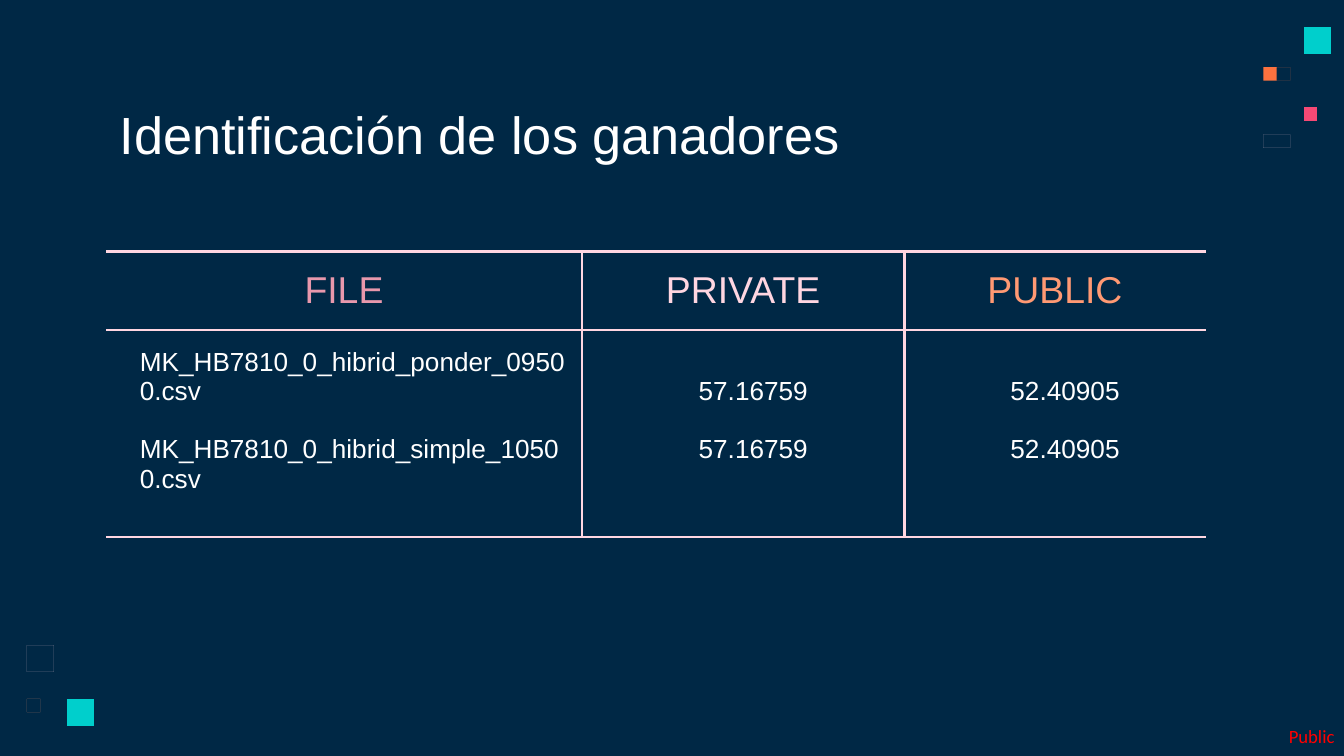
from lxml.etree import SubElement
from pptx import Presentation
from pptx.dml.color import RGBColor
from pptx.enum.text import MSO_ANCHOR, MSO_AUTO_SIZE, PP_ALIGN
from pptx.oxml.ns import qn
from pptx.util import Inches, Pt

# Grid: one column or row is a tenth of an inch
COLS, ROWS = 100, 56.25


def unit(n):
    return Inches(n / 10)


def rgb(color):
    return RGBColor.from_string(color)


class Deck:
    FONT = "Arial"
    BG, WHITE, PINK = "002845", "FFFFFF", "FFD6E1"
    TEAL, ORANGE, PEACH, RED, ROSE = "00CFCC", "FC723F", "FF9973", "F64975", "E898AC"
    INSET, RULE = 1, 1.5

    def __init__(self):
        self.prs = Presentation()
        self.prs.slide_width, self.prs.slide_height = unit(COLS), unit(ROWS)
        self.s = self.prs.slides.add_slide(self.prs.slide_layouts[5])
        fill = self.s.background.fill
        fill.solid()
        fill.fore_color.rgb = rgb(self.BG)

    def style(self, p, size, color, font=FONT, align=PP_ALIGN.LEFT):
        p.alignment = align
        p.font.name, p.font.size = font, Pt(size)
        p.font.color.rgb = rgb(color)

    def title(self, text, x, y, w, h):
        sp = self.s.shapes.title
        sp.left, sp.top, sp.width, sp.height = map(unit, (x, y, w, h))
        tf = sp.text_frame
        tf.text = text
        tf.auto_size, tf.vertical_anchor = MSO_AUTO_SIZE.NONE, MSO_ANCHOR.TOP
        tf.margin_left = tf.margin_right = unit(self.INSET)
        tf.margin_top, tf.margin_bottom = unit(1.7), 0
        self.style(tf.paragraphs[0], 28, self.WHITE)

    def label(self, text, x, y, w, h, color):
        tf = self.s.shapes.add_textbox(*map(unit, (x, y, w, h))).text_frame
        tf.margin_left = tf.margin_right = tf.margin_top = tf.margin_bottom = 0
        tf.word_wrap = False
        tf.text = text
        self.style(tf.paragraphs[0], 10, color, "Calibri")

    def square(self, x, y, side, color, edge=0):
        """A solid square, or a hollow one when an edge width is given."""
        r, b = x + side, y + side
        fb = self.s.shapes.build_freeform(x, y, scale=unit(1))
        fb.add_line_segments([(x, b), (r, b), (r, y)])
        if edge:
            fb.move_to(x + edge, y + edge)
            fb.add_line_segments([(r - edge, y + edge), (r - edge, b - edge),
                                  (x + edge, b - edge)])
        sp = fb.convert_to_shape()
        sp.shadow.inherit = False
        sp.fill.solid()
        sp.fill.fore_color.rgb = rgb(color)
        sp.line.fill.background()

    def borders(self, cell, sides):
        """Rule the named sides (of L, R, T, B) and clear the others."""
        tc_pr = cell._tc.get_or_add_tcPr()
        for i, side in enumerate("LRTB"):
            ln = SubElement(tc_pr, qn(f"a:ln{side}"), w=str(Pt(self.RULE)))
            if side in sides:
                fill = SubElement(ln, qn("a:solidFill"))
                SubElement(fill, qn("a:srgbClr"), val=self.PINK)
            else:
                SubElement(ln, qn("a:noFill"))
            tc_pr.insert(i, ln)

    def table(self, x, y, widths, heights, columns):
        """Each column is (heading, heading colour, body alignment, values)."""
        gf = self.s.shapes.add_table(len(heights), len(columns), unit(x), unit(y),
                                     unit(sum(widths)), unit(sum(heights)))
        tbl = gf.table
        for row, h in zip(tbl.rows, heights):
            row.height = unit(h)
        for c, (head, color, align, values) in enumerate(columns):
            tbl.columns[c].width = unit(widths[c])
            sides = "TB" + "L" * (c > 0) + "R" * (c < len(columns) - 1)
            for r, lines in enumerate(([head], values)):
                cell = tbl.cell(r, c)
                cell.fill.background()
                self.borders(cell, sides)
                cell.vertical_anchor = MSO_ANCHOR.MIDDLE
                cell.margin_left = unit(self.INSET + 1.5 * r)
                cell.margin_right = cell.margin_top = unit(self.INSET)
                cell.margin_bottom = unit(2.9 if r else self.INSET)
                cell.text_frame.text = "\n".join(lines)
                for i, p in enumerate(cell.text_frame.paragraphs):
                    if r:
                        self.style(p, 14, self.WHITE, align=align)
                    else:
                        self.style(p, 20, color, align=PP_ALIGN.CENTER)
                    p.space_before = Pt(15.5 if i else 0)


def main():
    d = Deck()

    # Corner label
    d.label("Public", 95.9, 53.9, 3.7, 1.7, "FF0000")

    # Decorative squares: top right, then bottom left
    for x, y, side, color, edge in [
        (94.2, 9.5, 1.84, d.PINK, 0.12),
        (94.5, 5.3, 1.2, d.ORANGE, 0.1),
        (96.8, 2.15, 1.72, d.TEAL, 0),
        (97.25, 7.8, 0.9, d.RED, 0),
        (1.65, 52, 1.05, d.PEACH, 0.13),
        (2.2, 48.15, 1.84, d.PINK, 0.12),
        (5.05, 52, 1.72, d.TEAL, 0),
    ]:
        d.square(x, y, side, color, edge)

    # Title
    d.title("Identificación de los ganadores", 7.9, 5.9, 84.3, 6.3)

    # Results table
    d.table(7.9, 18.7, [35.4, 24, 22.4], [5.85, 15.1], [
        ("FILE", d.ROSE, PP_ALIGN.LEFT,
         ["MK_HB7810_0_hibrid_ponder_09500.csv",
          "MK_HB7810_0_hibrid_simple_10500.csv"]),
        ("PRIVATE", d.PINK, PP_ALIGN.CENTER, ["57.16759"] * 2),
        ("PUBLIC", d.PEACH, PP_ALIGN.CENTER, ["52.40905"] * 2),
    ])

    d.prs.save("out.pptx")


if __name__ == "__main__":
    main()
